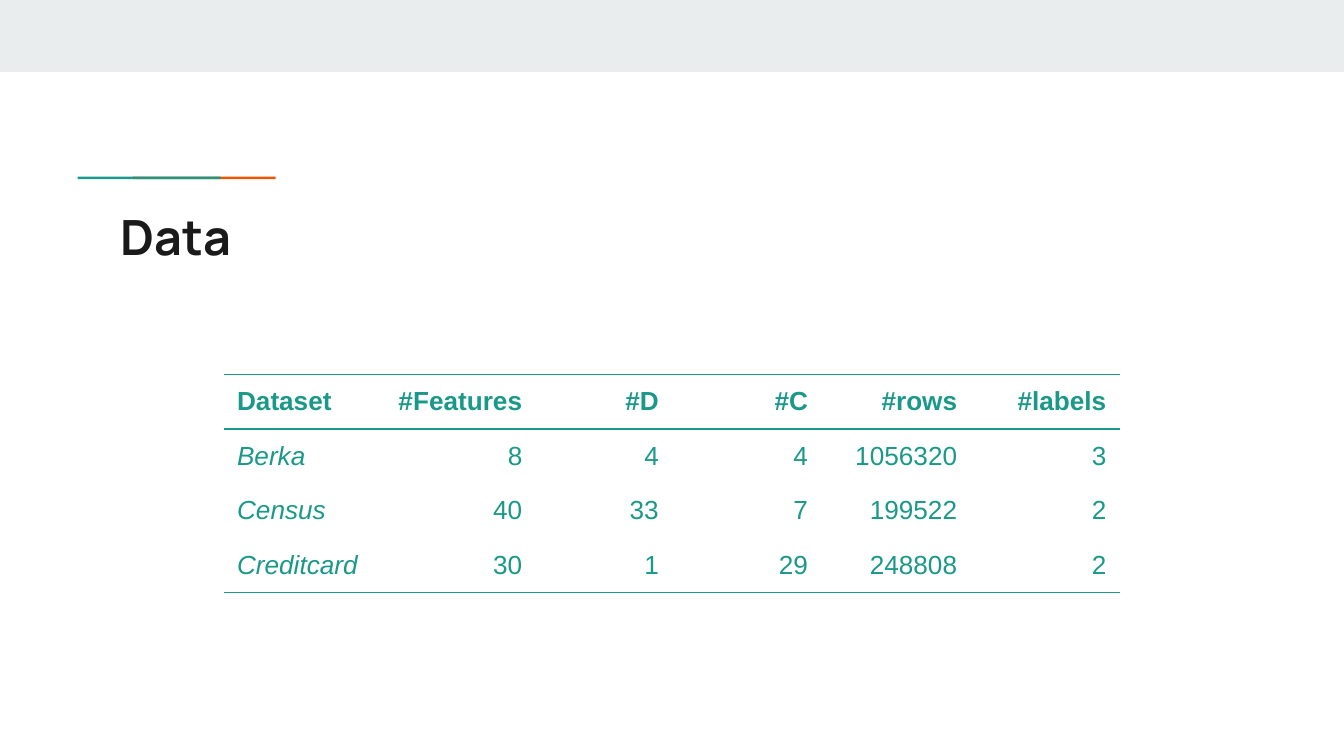
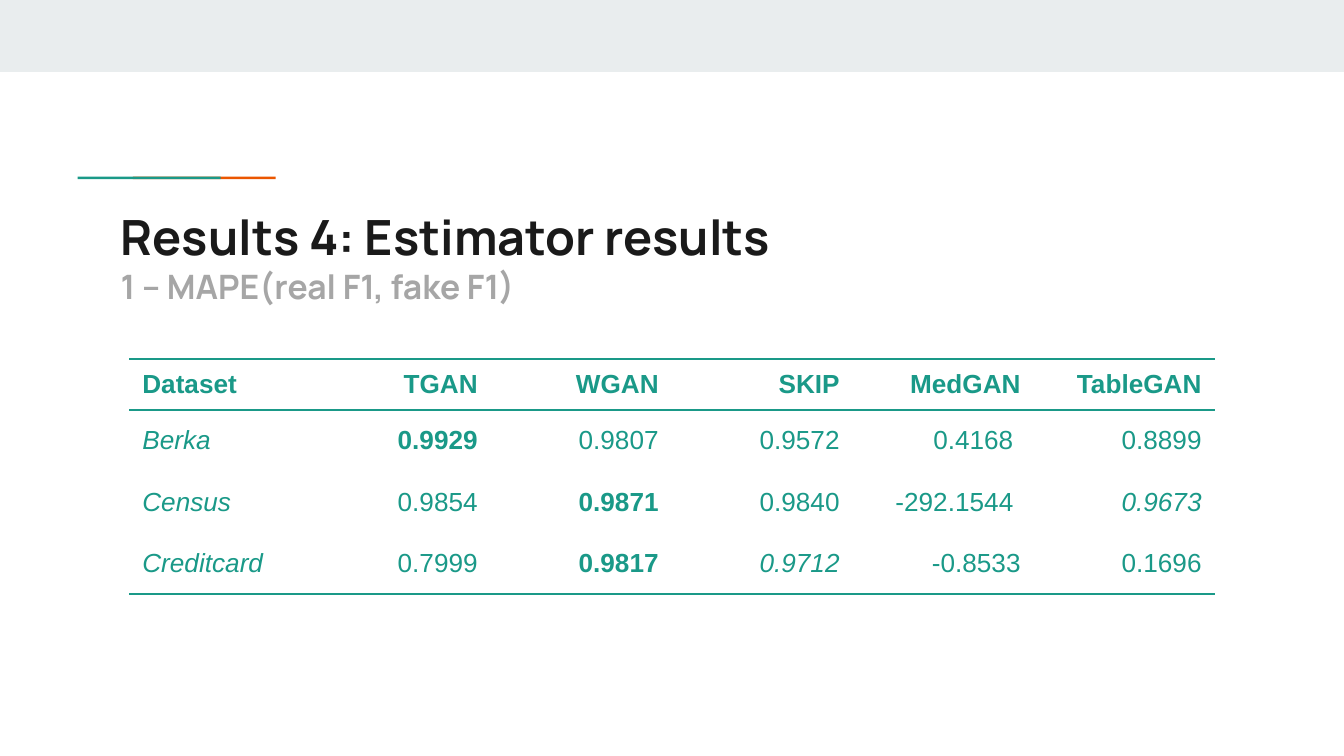
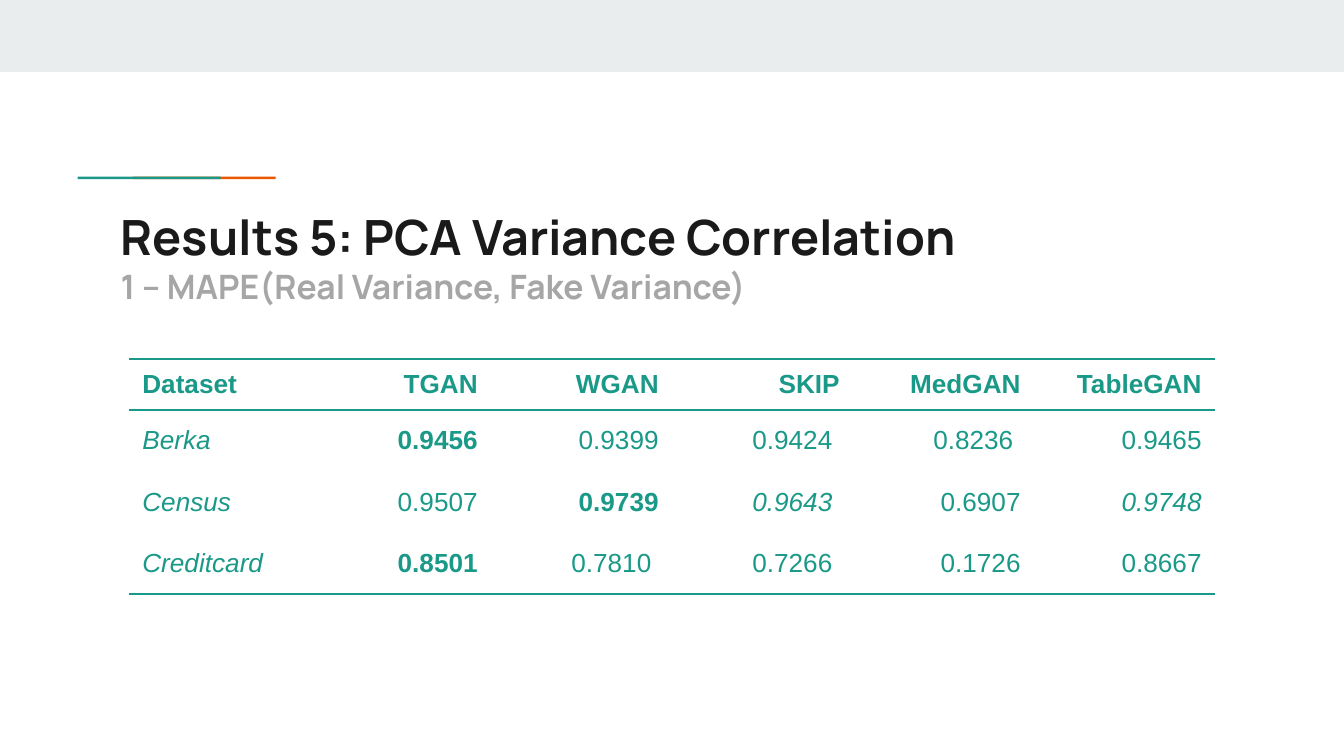
from lxml import etree
from pptx import Presentation
from pptx.dml.color import RGBColor
from pptx.enum import shapes, text
from pptx.oxml import ns
from pptx.util import Cm, Pt

TEAL = RGBColor(0x1A, 0x99, 0x88)
ORANGE = RGBColor(0xEB, 0x56, 0x00)
BAND_GREY = RGBColor(0xE9, 0xED, 0xEE)
TITLE_INK = RGBColor(0x1A, 0x1A, 0x1A)
SUBTITLE_GREY = RGBColor(0xA6, 0xA6, 0xA6)
TITLE_FONT, TABLE_FONT = "Manrope", "Arial"
PLAIN_TABLE = "{2D5ABB26-0587-4C30-8999-92F81FD0307C}"

# Band and overlapping accent lines on every slide: left, top, width, height, colour
DECORATION = [
    (0, 0, 25.4, 1.36, BAND_GREY),
    (2.51, 3.34, 2.7, 0.05, ORANGE),
    (1.47, 3.34, 2.7, 0.05, TEAL),
]

# Tables: bold and italic list the (row, column) of emphasised values
MODELS = ["Dataset", "TGAN", "WGAN", "SKIP", "MedGAN", "TableGAN"]
RESULT_GRID = {"left": 2.44, "top": 6.79, "widths": [3.42] * 6,
               "heights": [0.96, 1.16, 1.16, 1.16]}
SLIDES = [
    {
        "title": ["Data"], "title_height": 1.5,
        "left": 4.23, "top": 7.08, "heights": [1.03] * 4,
        "widths": [2.97, 2.92, 2.58, 2.82, 2.82, 2.82],
        "rows": [
            ["Dataset", "#Features", "#D", "#C", "#rows", "#labels"],
            ["Berka", "8", "4", "4", "1056320", "3"],
            ["Census", "40", "33", "7", "199522", "2"],
            ["Creditcard", "30", "1", "29", "248808", "2"],
        ],
        "bold": [], "italic": [],
    },
    {
        "title": ["Results 4: Estimator results", "1 – MAPE(real F1, fake F1)"],
        "title_height": 1.5, **RESULT_GRID,
        "rows": [
            MODELS,
            ["Berka", "0.9929", "0.9807", "0.9572", "0.4168 ", "0.8899"],
            ["Census", "0.9854", "0.9871", "0.9840", "-292.1544 ", "0.9673"],
            ["Creditcard", "0.7999", "0.9817", "0.9712", "-0.8533", "0.1696"],
        ],
        "bold": [(1, 1), (2, 2), (3, 2)], "italic": [(2, 5), (3, 3)],
    },
    {
        "title": ["Results 5: PCA Variance Correlation",
                  "1 – MAPE(Real Variance, Fake Variance)"],
        "title_height": 2.21, **RESULT_GRID,
        "rows": [
            MODELS,
            ["Berka", "0.9456", "0.9399", "0.9424 ", "0.8236 ", "0.9465"],
            ["Census", "0.9507", "0.9739", "0.9643 ", "0.6907", "0.9748"],
            ["Creditcard", "0.8501", "0.7810 ", "0.7266 ", "0.1726", "0.8667"],
        ],
        "bold": [(1, 1), (2, 2), (3, 1)], "italic": [(2, 3), (2, 5)],
    },
]


def style_run(run, font, size, colour, bold, italic=False):
    run.font.name, run.font.size = font, Pt(size)
    run.font.color.rgb = colour
    run.font.bold, run.font.italic = bold, italic


def add_border(cell, side):
    line = etree.SubElement(cell._tc.get_or_add_tcPr(), ns.qn(f"a:ln{side}"), w=str(Pt(1)))
    fill = etree.SubElement(line, ns.qn("a:solidFill"))
    etree.SubElement(fill, ns.qn("a:srgbClr"), val=str(TEAL))


prs = Presentation()
prs.slide_width, prs.slide_height = Cm(25.4), Cm(14.29)

# Shared title style
title_style = prs.slide_master.element.find(".//" + ns.qn("p:titleStyle"))
title_style.find(ns.qn("a:lvl1pPr")).set("algn", "l")
title_style.find(".//" + ns.qn("a:defRPr")).set("sz", "2600")

for content in SLIDES:
    slide = prs.slides.add_slide(prs.slide_layouts[5])

    # Band and accent lines
    for left, top, width, height, colour in DECORATION:
        bar = slide.shapes.add_shape(shapes.MSO_SHAPE.RECTANGLE,
                                     Cm(left), Cm(top), Cm(width), Cm(height))
        bar.shadow.inherit = False
        bar.fill.solid()
        bar.fill.fore_color.rgb = colour
        bar.line.fill.background()

    # Title with optional subtitle line
    title = slide.shapes.title
    title.left, title.top = Cm(2.03), Cm(3.67)
    title.width, title.height = Cm(21.36), Cm(content["title_height"])
    frame = title.text_frame
    frame.margin_left = frame.margin_right = Cm(0.25)
    frame.margin_top = frame.margin_bottom = Cm(0.25)
    frame.vertical_anchor = text.MSO_ANCHOR.TOP
    frame.auto_size = text.MSO_AUTO_SIZE.NONE
    frame.word_wrap = True
    frame.text = "\v".join(content["title"])
    looks = [(26, TITLE_INK), (18, SUBTITLE_GREY)]
    for run, (size, colour) in zip(frame.paragraphs[0].runs, looks):
        style_run(run, TITLE_FONT, size, colour, True)

    # Table
    rows, widths, heights = content["rows"], content["widths"], content["heights"]
    table = slide.shapes.add_table(
        len(rows), len(widths), Cm(content["left"]), Cm(content["top"]),
        Cm(sum(widths)), Cm(sum(heights))).table
    table.first_row = table.horz_banding = False
    table._tbl.tblPr.find(ns.qn("a:tableStyleId")).text = PLAIN_TABLE
    for column, width in zip(table.columns, widths):
        column.width = Cm(width)
    for r, values in enumerate(rows):
        table.rows[r].height = Cm(heights[r])
        for c, value in enumerate(values):
            cell = table.cell(r, c)
            cell.text = value
            cell.vertical_anchor = text.MSO_ANCHOR.MIDDLE
            cell.margin_left = cell.margin_right = Cm(0.25)
            cell.margin_top = cell.margin_bottom = Cm(0.13)
            paragraph = cell.text_frame.paragraphs[0]
            paragraph.alignment = text.PP_ALIGN.RIGHT if c else text.PP_ALIGN.LEFT
            style_run(paragraph.runs[0], TABLE_FONT, 14, TEAL,
                      bold=r == 0 or (r, c) in content["bold"],
                      italic=r > 0 and (c == 0 or (r, c) in content["italic"]))
            if r == 0:
                add_border(cell, "T")
            if r in (0, len(rows) - 1):
                add_border(cell, "B")
            cell.fill.background()

prs.save("out.pptx")
